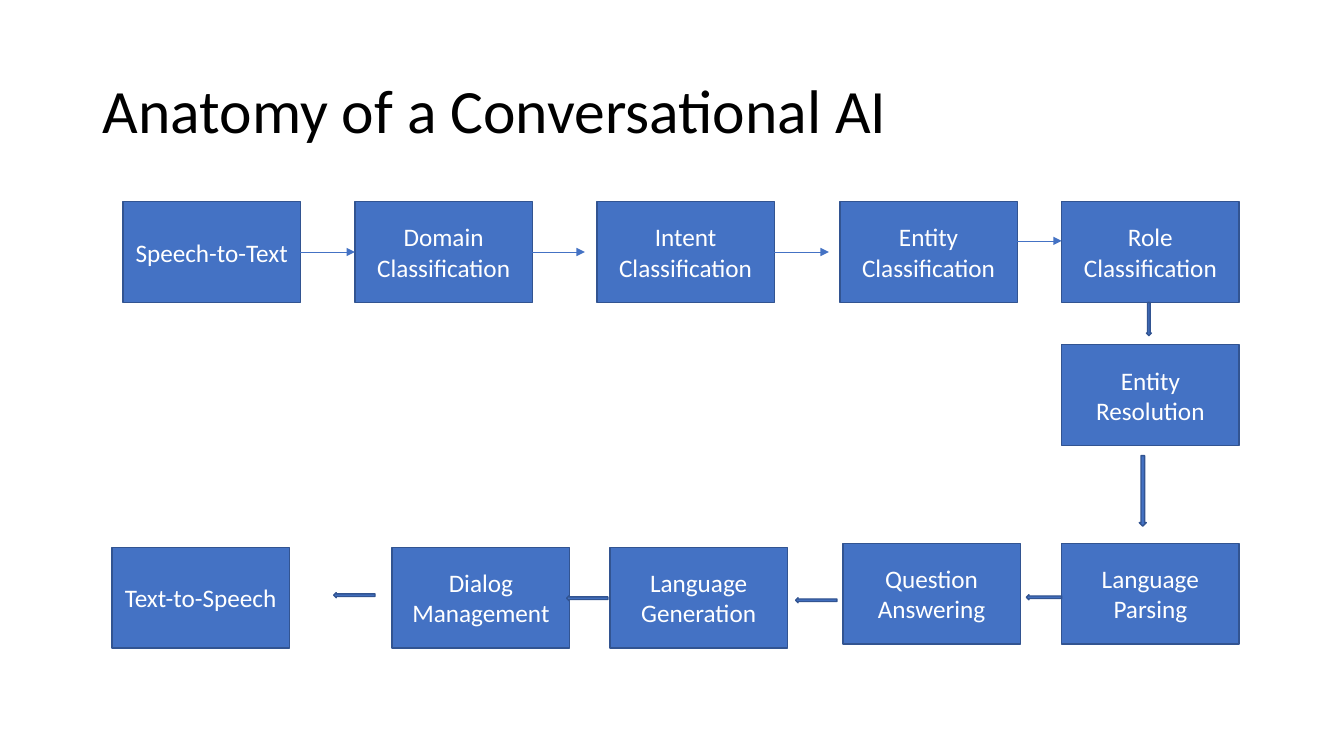
import dataclasses

import pptx
import pptx.dml.color
import pptx.enum.shapes
import pptx.enum.text
import pptx.oxml
import pptx.oxml.ns
import pptx.util
from pptx.util import Inches


@dataclasses.dataclass(frozen=True)
class Theme:
    font: str = "Calibri"
    title_size: int = 44
    step_size: int = 18
    title_color: str = "000000"
    step_color: str = "FFFFFF"
    fill: str = "4472C4"
    outline: str = "325491"


theme = Theme()
rgb = pptx.dml.color.RGBColor.from_string
shape_kinds = pptx.enum.shapes.MSO_SHAPE
aligns = pptx.enum.text.PP_ALIGN


def write_text(frame, text, *, size, color, align, spacing=1.0):
    frame.word_wrap = True
    frame.vertical_anchor = pptx.enum.text.MSO_ANCHOR.MIDDLE
    paragraph = frame.paragraphs[0]
    paragraph.alignment = align
    paragraph.line_spacing = spacing
    run = paragraph.add_run()
    run.text = text
    run.font.name = theme.font
    run.font.size = pptx.util.Pt(size)
    run.font.color.rgb = rgb(color)


def add_block(kind, left, top, width, height):
    block = slide.shapes.add_shape(
        kind, Inches(left), Inches(top), Inches(width), Inches(height))
    block.shadow.inherit = False
    block.fill.solid()
    block.fill.fore_color.rgb = rgb(theme.fill)
    block.line.color.rgb = rgb(theme.outline)
    block.line.width = pptx.util.Pt(1)
    return block


deck = pptx.Presentation()
deck.slide_width = Inches(13.33)
deck.slide_height = Inches(7.5)
slide = deck.slides.add_slide(deck.slide_layouts[6])

# Title
title = slide.shapes.add_textbox(
    Inches(0.92), Inches(0.4), Inches(11.5), Inches(1.45))
write_text(title.text_frame, "Anatomy of a Conversational AI",
           size=theme.title_size, color=theme.title_color,
           align=aligns.LEFT, spacing=0.9)

# Pipeline steps, in processing order
step_width, step_height = 1.76, 1
step_places = [
    ("Speech-to-Text", 1.22, 2),
    ("Domain Classification", 3.52, 2),
    ("Intent Classification", 5.92, 2),
    ("Entity Classification", 8.33, 2),
    ("Role Classification", 10.53, 2),
    ("Entity Resolution", 10.53, 3.42),
    ("Language Parsing", 10.53, 5.39),
    ("Question Answering", 8.36, 5.39),
    ("Language Generation", 6.05, 5.43),
    ("Dialog Management", 3.89, 5.43),
    ("Text-to-Speech", 1.11, 5.43),
]
steps = {}
for name, left, top in step_places:
    steps[name] = add_block(
        shape_kinds.RECTANGLE, left, top, step_width, step_height)
    write_text(steps[name].text_frame, name, size=theme.step_size,
               color=theme.step_color, align=aligns.CENTER)

# Thin arrows along the understanding row: start, y, joined steps
link_length = 0.54
links = [
    (2.98, 2.5, "Speech-to-Text", "Domain Classification"),
    (5.26, 2.5, "Domain Classification", None),
    (7.68, 2.5, "Intent Classification", None),
    (9.99, 2.39, None, None),
]
for start, y, source, target in links:
    link = slide.shapes.add_connector(
        pptx.enum.shapes.MSO_CONNECTOR.STRAIGHT,
        Inches(start), Inches(y), Inches(start + link_length), Inches(y))
    if source:
        link.begin_connect(steps[source], 3)
    if target:
        link.end_connect(steps[target], 1)
    link.line.color.rgb = rgb(theme.fill)
    link.line.width = pptx.util.Pt(0.5)
    head = pptx.oxml.parse_xml(
        f'<a:tailEnd {pptx.oxml.ns.nsdecls("a")} type="triangle"/>')
    link.line._get_or_add_ln().append(head)
    link._element.spPr.append(pptx.oxml.parse_xml(
        f'<a:effectLst {pptx.oxml.ns.nsdecls("a")}/>'))

# Block arrows down the right side and back along the response row
block_arrows = [
    (shape_kinds.DOWN_ARROW, 11.37, 3, 0.05, 0.33),
    (shape_kinds.DOWN_ARROW, 11.3, 4.52, 0.07, 0.7),
    (shape_kinds.LEFT_ARROW, 10.18, 5.9, 0.35, 0.05),
    (shape_kinds.LEFT_ARROW, 7.89, 5.93, 0.41, 0.05),
    (shape_kinds.LEFT_ARROW, 5.62, 5.91, 0.41, 0.05),
    (shape_kinds.LEFT_ARROW, 3.31, 5.88, 0.41, 0.05),
]
for block_arrow in block_arrows:
    add_block(*block_arrow)

deck.save("out.pptx")
